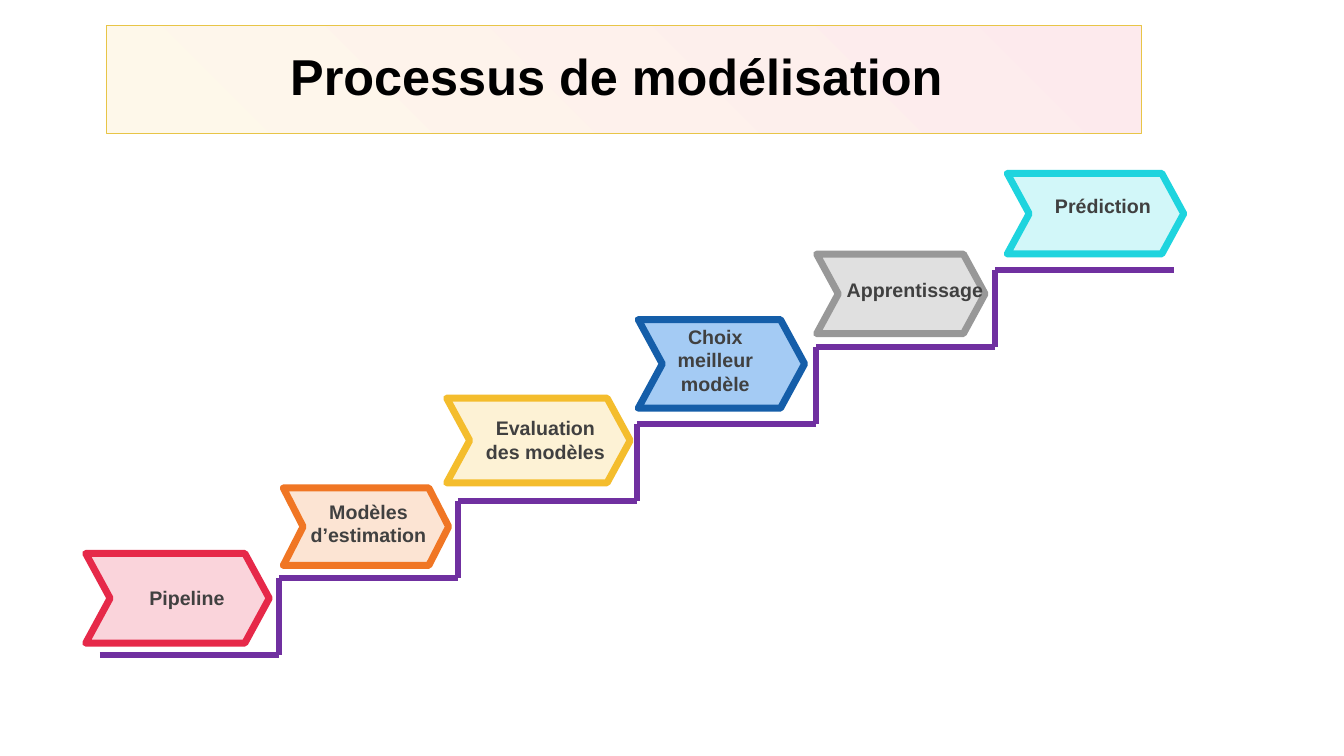
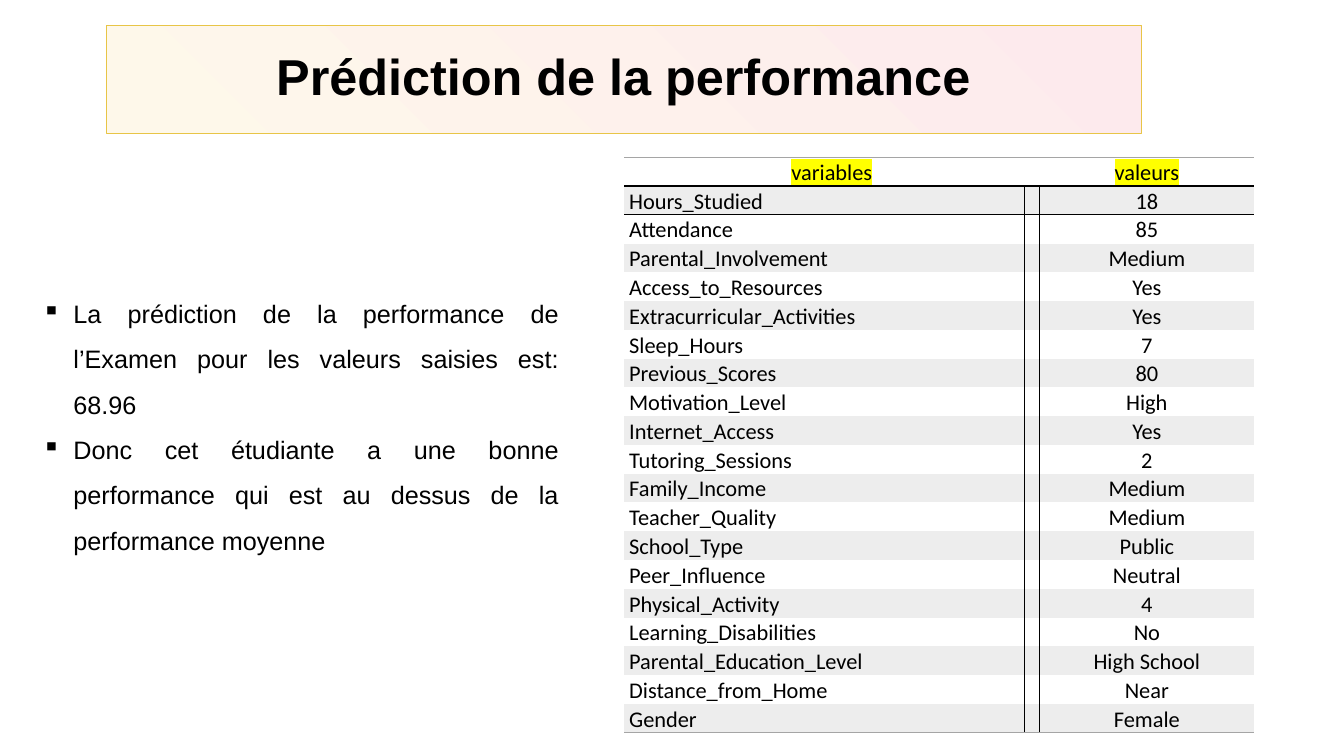
from lxml.etree import SubElement
from pptx import Presentation
from pptx.dml.color import RGBColor
from pptx.enum.shapes import MSO_CONNECTOR, MSO_SHAPE
from pptx.enum.text import MSO_ANCHOR, MSO_AUTO_SIZE, PP_ALIGN
from pptx.oxml import parse_xml
from pptx.oxml.ns import nsdecls, qn
from pptx.util import Inches, Pt

BLACK, WHITE, GREY, BAND = "000000", "FFFFFF", "A5A5A5", "EDEDED"
PURPLE, LABEL, GOLD, YELLOW = "7030A0", "404040", "E8C547", "FFFF00"
NO_STYLE = "{2D5ABB26-0587-4C30-8999-92F81FD0307C}"

BANNER_GEOM = f"""<a:prstGeom {nsdecls('a')} prst="roundRect">
<a:avLst><a:gd name="adj" fmla="val 16200"/></a:avLst></a:prstGeom>"""
BANNER_FILL = f"""<a:gradFill {nsdecls('a')} rotWithShape="1"><a:gsLst>
<a:gs pos="0"><a:srgbClr val="FDEAED"/></a:gs>
<a:gs pos="100000"><a:srgbClr val="FEF8EA"/></a:gs></a:gsLst>
<a:path path="circle"><a:fillToRect l="100000" b="100000"/></a:path></a:gradFill>"""

STEPS = [
    ("Pipeline", "FAD4DB", "E62949", 0.272, (0.85, 5.49, 1.82, 0.89), (1.04, 5.76, 1.63, 0.34)),
    ("Modèles d’estimation", "FCE4D3", "F07624", 0.256, (2.81, 4.84, 1.64, 0.77), (2.8, 4.91, 1.71, 0.57)),
    ("Evaluation des modèles", "FDF2D5", "F4BD2D", 0.272, (4.43, 3.95, 1.82, 0.84), (4.64, 4.08, 1.54, 0.57)),
    ("Choix meilleur modèle", "A4CBF4", "155EA9", 0.272, (6.33, 3.17, 1.65, 0.88), (6.49, 3.17, 1.21, 0.81)),
    ("Apprentissage", "E0E0E0", "989898", 0.272, (8.1, 2.52, 1.67, 0.79), (8.16, 2.71, 1.83, 0.34)),
    ("Prédiction", "D2F7F9", "1ED4DE", 0.272, (9.99, 1.72, 1.75, 0.8), (10.24, 1.87, 1.4, 0.34)),
]

FINDINGS = [
    "La prédiction de la performance de l’Examen pour les valeurs saisies est: 68.96",
    "Donc cet étudiante a une bonne performance qui est au dessus de la performance moyenne",
]

VALUES = [
    ("variables", "valeurs"),
    ("Hours_Studied", "18"),
    ("Attendance", "85"),
    ("Parental_Involvement", "Medium"),
    ("Access_to_Resources", "Yes"),
    ("Extracurricular_Activities", "Yes"),
    ("Sleep_Hours", "7"),
    ("Previous_Scores", "80"),
    ("Motivation_Level", "High"),
    ("Internet_Access", "Yes"),
    ("Tutoring_Sessions", "2"),
    ("Family_Income", "Medium"),
    ("Teacher_Quality", "Medium"),
    ("School_Type", "Public"),
    ("Peer_Influence", "Neutral"),
    ("Physical_Activity", "4"),
    ("Learning_Disabilities", "No"),
    ("Parental_Education_Level", "High School"),
    ("Distance_from_Home", "Near"),
    ("Gender", "Female"),
]


def rgb(color):
    return RGBColor.from_string(color)


def place(box):
    return [Inches(v) for v in box]


class Deck:
    def __init__(self):
        self.prs = Presentation()
        self.prs.slide_width, self.prs.slide_height = Inches(13.33), Inches(7.5)
        self.s = None

    def run(self, p, text, size, color=BLACK, bold=False, font="Arial"):
        r = p.add_run()
        r.text = text
        r.font.size, r.font.bold, r.font.name = Pt(size), bold, font
        r.font.color.rgb = rgb(color)
        return r

    def slide(self, title):
        self.s = self.prs.slides.add_slide(self.prs.slide_layouts[5])
        sp = self.s.shapes.title
        sp.left, sp.top, sp.width, sp.height = place((1.05, 0.25, 10.27, 1.07))
        spPr = sp.element.spPr
        spPr.append(parse_xml(BANNER_GEOM))
        spPr.append(parse_xml(BANNER_FILL))
        sp.line.color.rgb, sp.line.width = rgb(GOLD), Pt(0.5)
        tf = sp.text_frame
        tf.margin_left = tf.margin_top = tf.margin_right = tf.margin_bottom = 0
        tf.vertical_anchor, tf.auto_size = MSO_ANCHOR.MIDDLE, MSO_AUTO_SIZE.NONE
        tf.word_wrap = True
        p = tf.paragraphs[0]
        p.alignment, p.line_spacing = PP_ALIGN.CENTER, 0.9
        self.run(p, title, 36, bold=True)

    def line(self, x1, y1, x2, y2):
        c = self.s.shapes.add_connector(MSO_CONNECTOR.STRAIGHT, *place((x1, y1, x2, y2)))
        c.line.color.rgb, c.line.width = rgb(PURPLE), Pt(4.5)
        SubElement(c.element.spPr, qn("a:effectLst"))

    def chevron(self, box, fill, border, adj):
        sp = self.s.shapes.add_shape(MSO_SHAPE.CHEVRON, *place(box))
        sp.adjustments[0] = adj
        sp.shadow.inherit = False
        sp.fill.solid()
        sp.fill.fore_color.rgb = rgb(fill)
        sp.line.color.rgb, sp.line.width = rgb(border), Pt(5)

    def text_frame(self, box):
        tf = self.s.shapes.add_textbox(*place(box)).text_frame
        tf.word_wrap = True
        return tf

    def label(self, box, text):
        p = self.text_frame(box).paragraphs[0]
        p.alignment = PP_ALIGN.CENTER
        self.run(p, text, 14, LABEL, True)

    def bullets(self, box, items):
        tf = self.text_frame(box)
        for i, item in enumerate(items):
            p = tf.add_paragraph() if i else tf.paragraphs[0]
            p.alignment, p.line_spacing = PP_ALIGN.JUSTIFY, 1.5
            pPr = p._p.get_or_add_pPr()
            pPr.set("marL", str(Inches(0.31)))
            pPr.set("indent", str(Inches(-0.31)))
            SubElement(pPr, qn("a:buChar")).set("char", "▪")
            self.run(p, item, 18)

    def border(self, cell, side, color):
        ln = SubElement(cell._tc.get_or_add_tcPr(), qn(f"a:ln{side}"), w=str(Pt(1)))
        SubElement(SubElement(ln, qn("a:solidFill")), qn("a:srgbClr"), val=color)

    def cell(self, cell, text, centered, header, fill):
        cell.margin_left = cell.margin_right = Inches(0.05)
        cell.margin_top = cell.margin_bottom = 0
        cell.vertical_anchor = MSO_ANCHOR.BOTTOM
        cell.fill.solid()
        cell.fill.fore_color.rgb = rgb(fill)
        p = cell.text_frame.paragraphs[0]
        p.alignment = PP_ALIGN.CENTER if centered else PP_ALIGN.LEFT
        p.line_spacing = 1.07
        if not text:
            SubElement(p._p, qn("a:endParaRPr"), sz="1600")
            return
        r = self.run(p, text, 16, font="Calibri")
        if header:
            mark = parse_xml(f'<a:highlight {nsdecls("a")}><a:srgbClr val="{YELLOW}"/></a:highlight>')
            r._r.rPr.find(qn("a:solidFill")).addnext(mark)

    def table(self, box, widths, rows):
        tbl = self.s.shapes.add_table(len(rows), len(widths), *place(box)).table
        tbl.first_row = tbl.horz_banding = False
        tbl._tbl.tblPr.find(qn("a:tableStyleId")).text = NO_STYLE
        for col, width in zip(tbl.columns, widths):
            col.width = Inches(width)
        last = len(rows) - 1
        for i, (name, value) in enumerate(rows):
            tbl.rows[i].height = Inches(0.28)
            for j, text in enumerate((name, "", value)):
                cell = tbl.cell(i, j)
                if i and j < 2:
                    self.border(cell, "RL"[j], BLACK)
                if i < 2:
                    self.border(cell, "T", BLACK if i else GREY)
                if i in (0, last):
                    self.border(cell, "B", GREY if i else BLACK)
                self.cell(cell, text, i == 0 or j == 2, i == 0, BAND if i % 2 else WHITE)
        tbl.cell(0, 0).merge(tbl.cell(0, 1))


def main():
    deck = Deck()

    deck.slide("Processus de modélisation ")
    left, bottom = 0.99, 6.5
    run, rise = (9.87 - left) / 5, (bottom - 2.68) / 5
    for i, (text, fill, border, adj, box, text_box) in enumerate(STEPS):
        x, y = left + i * run, bottom - i * rise
        deck.line(x, y, x + run, y)
        if i:
            deck.line(x, y, x, y + rise)
        deck.chevron(box, fill, border, adj)
        deck.label(text_box, text)

    deck.slide("Prédiction de la performance")
    deck.bullets((0.32, 2.76, 5.32, 2.83), FINDINGS)
    deck.table((6.19, 1.56, 6.25, 5.6), (3.97, 0.15, 2.13), VALUES)

    deck.prs.save("out.pptx")


if __name__ == "__main__":
    main()
